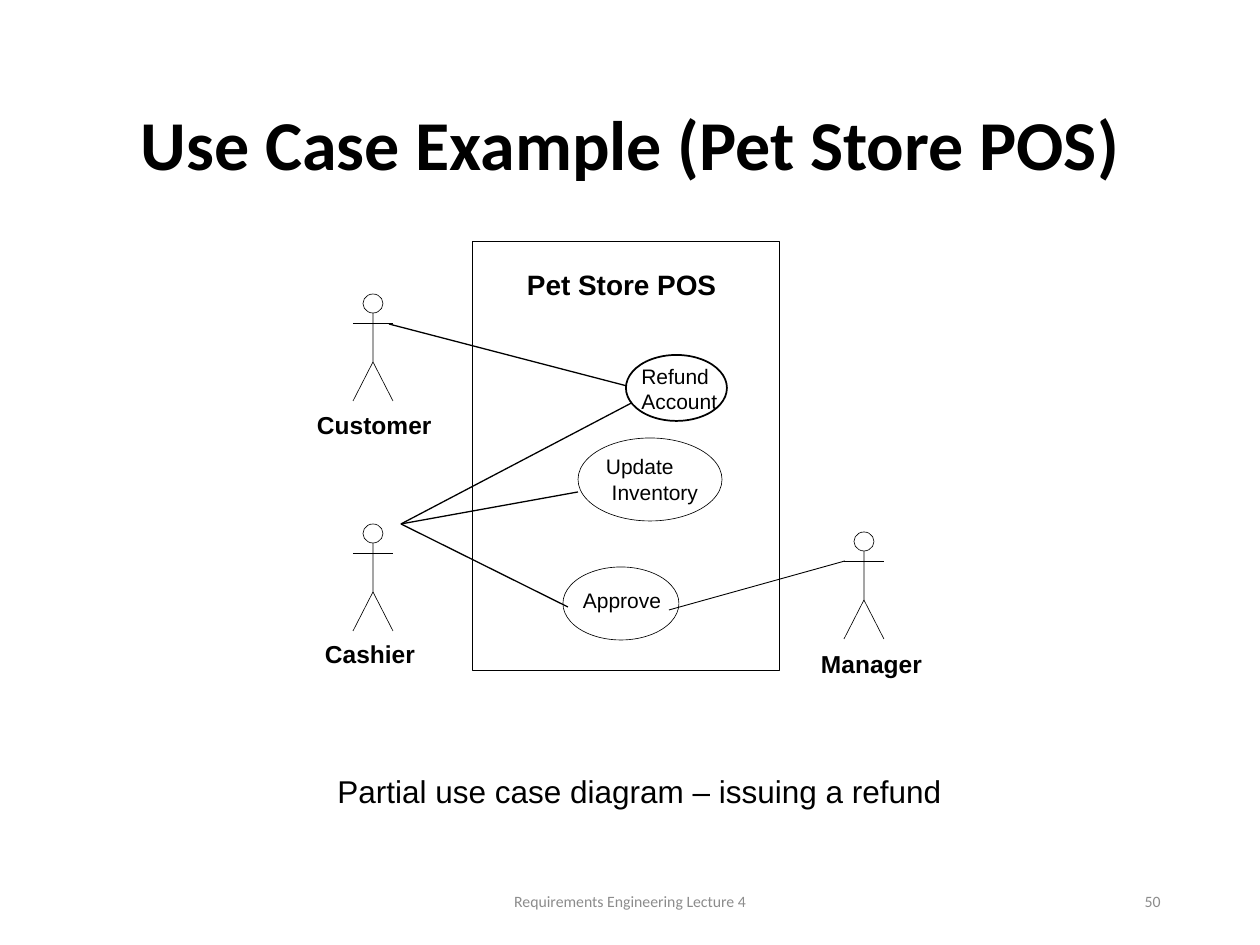
from pptx import Presentation
from pptx.dml.color import RGBColor
from pptx.enum.shapes import MSO_CONNECTOR, MSO_SHAPE
from pptx.enum.text import MSO_ANCHOR, PP_ALIGN
from pptx.oxml.ns import qn
from pptx.util import Emu, Pt
from lxml import etree

LEFT, CENTER, RIGHT = PP_ALIGN.LEFT, PP_ALIGN.CENTER, PP_ALIGN.RIGHT
TOP, MIDDLE = MSO_ANCHOR.TOP, MSO_ANCHOR.MIDDLE
RECTANGLE, OVAL = MSO_SHAPE.RECTANGLE, MSO_SHAPE.OVAL
BLACK = RGBColor(0x00, 0x00, 0x00)
WHITE = RGBColor(0xFF, 0xFF, 0xFF)
GRAY = RGBColor(0x8C, 0x8C, 0x8C)
SCALE = 914400 // 126  # EMU per pixel
THIN = 0.38

# Content: boxes are left, top, width, height
TITLE = ("Use Case Example (Pet Store POS)", (87, 97, 1086, 102))
SYSTEM_BOX = (472, 242, 307, 429)
# name, center x, head top, label box
ACTORS = [
    ("Customer", 373, 294, (317, 410, 120, 30)),
    ("Cashier", 373, 524, (325, 639, 95, 30)),
    ("Manager", 864, 532, (821, 649, 105, 30)),
]
# start x, start y, end x, end y, line width
ASSOCIATIONS = [
    (389, 324, 631, 387, 0.75),
    (401, 524, 641, 398, 0.75),
    (401, 524, 578, 492, 0.75),
    (401, 524, 568, 607, 0.75),
    (669, 610, 845, 561, 0.5),
]
# oval, fill, line width
USE_CASES = [
    ((626, 355, 101, 66), WHITE, 1),
    ((578, 438, 144, 83), None, THIN),
    ((563, 567, 116, 73), None, THIN),
]
# lines, box, size, bold
LABELS = [
    (["Pet Store POS"], (527, 268, 196, 34), 16, True),
    (["Update", " Inventory"], (606, 454, 98, 50), 12, False),
    (["Approve"], (583, 588, 90, 25), 12, False),
]
# text, box, size, font, color, alignment, anchor
WRAPPED_TEXTS = [
    ("Refund Account", (629, 357, 103, 63), 12, "Arial", BLACK, LEFT, TOP),
    ("Partial use case diagram – issuing a refund", (325, 766, 674, 50),
     18, "Arial", BLACK, LEFT, TOP),
    ("Requirements Engineering Lecture 4", (417, 876, 426, 50),
     9, "Calibri", GRAY, CENTER, MIDDLE),
    ("50", (890, 876, 283, 50), 9, "Calibri", GRAY, RIGHT, MIDDLE),
]


def px(*values):
    return [Emu(value * SCALE) for value in values]


def style_outline(shape, width, fill=None):
    shape.shadow.inherit = False
    if fill is None:
        shape.fill.background()
    else:
        shape.fill.solid()
        shape.fill.fore_color.rgb = fill
    shape.line.color.rgb = BLACK
    shape.line.width = Pt(width)


def add_outline(kind, box, width, fill=None):
    style_outline(slide.shapes.add_shape(kind, *px(*box)), width, fill)


def add_line(x1, y1, x2, y2, width):
    line = slide.shapes.add_connector(MSO_CONNECTOR.STRAIGHT, *px(x1, y1, x2, y2))
    line.line.color.rgb = BLACK
    line.line.width = Pt(width)
    etree.SubElement(line._element.spPr, qn("a:effectLst"))


def add_actor(x, top):
    arm, neck, shoulder, hip, foot = 20, top + 19, top + 29, top + 68, top + 107
    add_line(x - arm, shoulder, x + arm, shoulder, THIN)
    add_line(x, hip, x + arm, foot, THIN)
    builder = slide.shapes.build_freeform(x, neck, scale=SCALE)
    builder.add_line_segments([(x, hip), (x - arm, foot)], close=False)
    style_outline(builder.convert_to_shape(), THIN)
    add_outline(OVAL, (x - 10, top, 20, 19), THIN)


def write(frame, lines, size, font, color, bold=False, alignment=LEFT):
    for index, line in enumerate(lines):
        paragraph = frame.add_paragraph() if index else frame.paragraphs[0]
        paragraph.alignment = alignment
        run = paragraph.add_run()
        run.text = line
        run.font.size = Pt(size)
        run.font.name = font
        run.font.bold = bold
        run.font.color.rgb = color


def add_label(lines, box, size, bold):
    frame = slide.shapes.add_textbox(*px(*box)).text_frame
    frame.word_wrap = False
    frame.margin_left = frame.margin_right = 0
    frame.margin_top = frame.margin_bottom = 0
    write(frame, lines, size, "Arial", BLACK, bold)


presentation = Presentation()
presentation.slide_width, presentation.slide_height = px(1260, 945)
slide = presentation.slides.add_slide(presentation.slide_layouts[5])

# Title
title_text, title_box = TITLE
title = slide.shapes.title
title.left, title.top, title.width, title.height = px(*title_box)
title.text_frame.vertical_anchor = MIDDLE
write(title.text_frame, [title_text], 40, "Calibri", BLACK, True, CENTER)
title.text_frame.paragraphs[0].line_spacing = 0.9

# System boundary, associations and use cases
add_outline(RECTANGLE, SYSTEM_BOX, 0.5)
for association in ASSOCIATIONS:
    add_line(*association)
for oval, fill, width in USE_CASES:
    add_outline(OVAL, oval, width, fill)

# Actors
for name, center_x, head_top, label_box in ACTORS:
    add_actor(center_x, head_top)
    add_label([name], label_box, 14, True)

# Labels, caption and footer
for label in LABELS:
    add_label(*label)
for text, box, size, font, color, alignment, anchor in WRAPPED_TEXTS:
    frame = slide.shapes.add_textbox(*px(*box)).text_frame
    frame.word_wrap = True
    frame.vertical_anchor = anchor
    write(frame, [text], size, font, color, alignment=alignment)

presentation.save("out.pptx")
